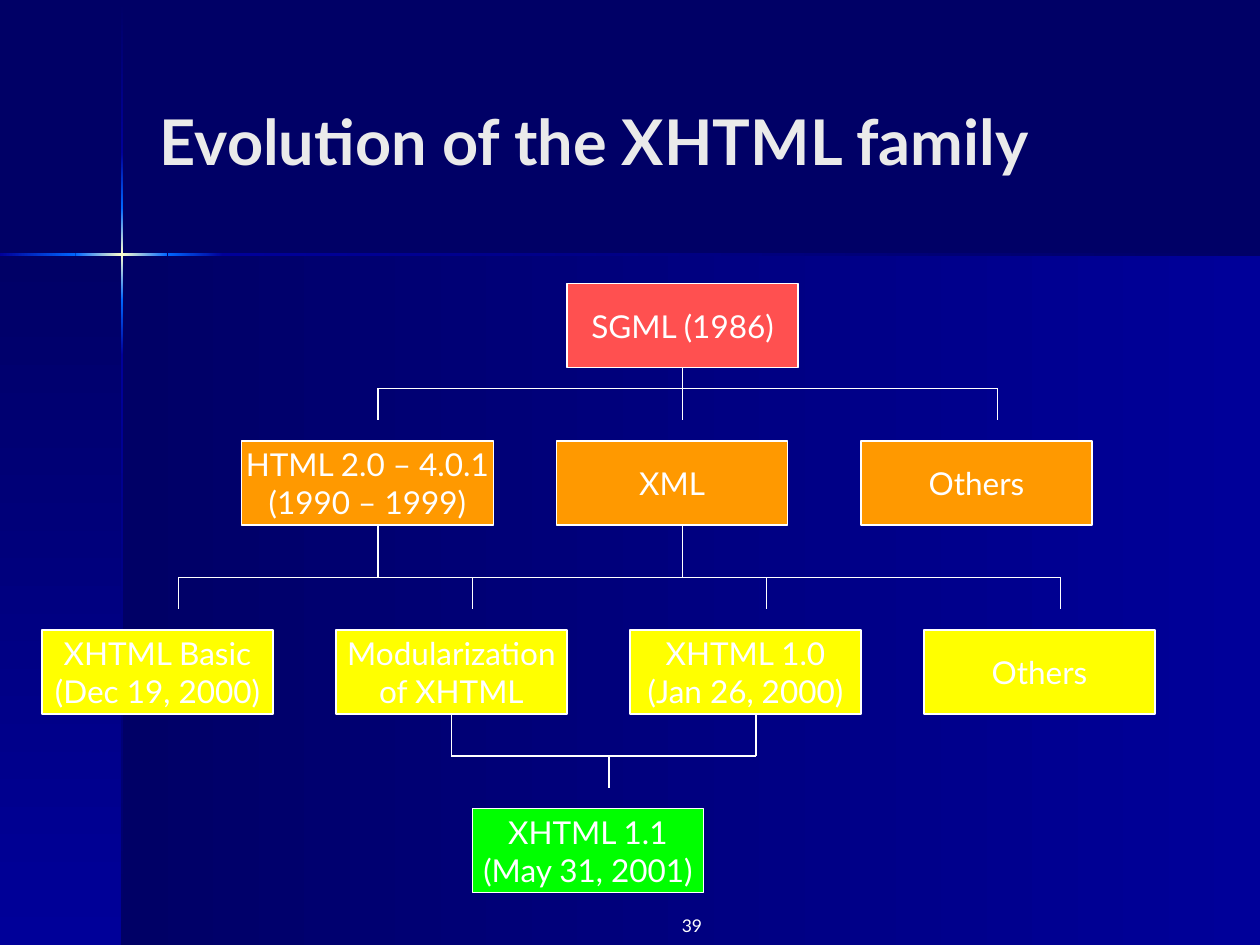
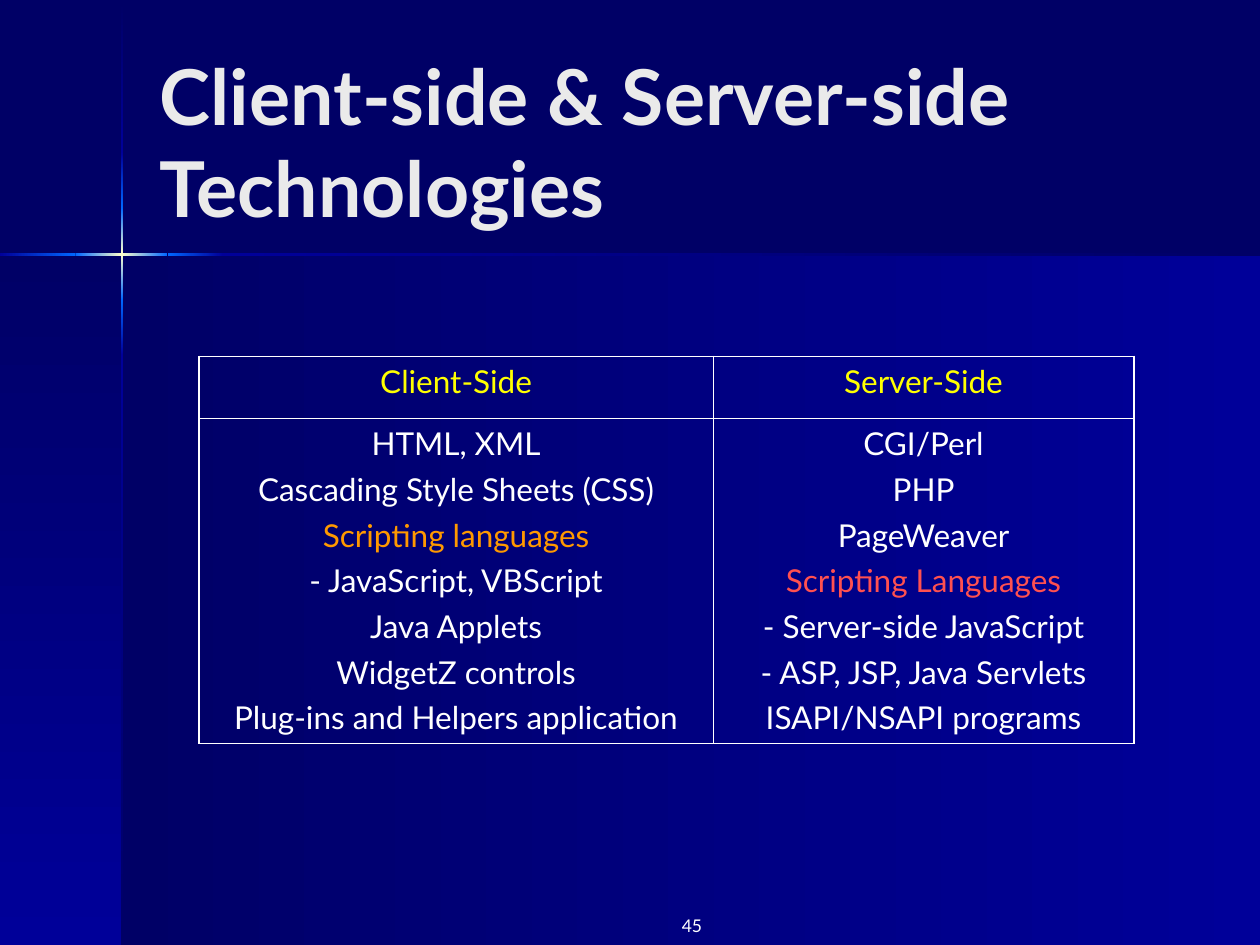
from lxml import etree
from pptx import Presentation, util as u
from pptx.dml.color import RGBColor
from pptx.enum import shapes, text
from pptx.oxml.ns import qn

FONT = "Lato"
COLOURS = {
    "navy": "000066", "blue": "000099", "bright": "0066FF", "glow": "FFFFCC",
    "title": "EAEAEA", "white": "FFFFFF", "red": "FF5050", "orange": "FF9900",
    "yellow": "FFFF00", "green": "00FF00",
}
WIDTH, HEIGHT = 10, 7.5
UNIT = WIDTH / 120
BOX_WIDTH, BOX_HEIGHT = 22, 8
STAR_X, STAR_Y, RAY = 0.96, 2.01, 0.02

CLIENT_SIDE = [
    "HTML, XML", "Cascading Style Sheets (CSS)", "Scripting languages",
    "- JavaScript, VBScript", "Java Applets", "WidgetZ controls",
    "Plug-ins and Helpers application",
]
SERVER_SIDE = [
    "CGI/Perl", "PHP", "PageWeaver", "Scripting Languages",
    "- Server-side JavaScript", "- ASP, JSP, Java Servlets",
    "ISAPI/NSAPI programs",
]


def rgb(name):
    return RGBColor.from_string(COLOURS[name])


def inches(*lengths):
    return [u.Inches(length) for length in lengths]


def grid(*units):
    return inches(*(unit * UNIT for unit in units))


def write(frame, lines, size, colour, align, bold=False, space=0, accents=None):
    for i, line in enumerate(lines):
        paragraph = frame.paragraphs[0] if i == 0 else frame.add_paragraph()
        paragraph.text = line
        paragraph.alignment = align
        paragraph.space_before = u.Pt(space)
        paragraph.font.name = FONT
        paragraph.font.size = u.Pt(size)
        paragraph.font.bold = bold
        paragraph.font.color.rgb = rgb((accents or {}).get(line, colour))


def add_label(slide, place, line, size, colour, align, **style):
    frame = slide.shapes.add_textbox(*inches(*place)).text_frame
    frame.word_wrap = True
    write(frame, [line], size, colour, align, **style)
    return frame


def add_gradient(slide, place, colours, vertical):
    band = slide.shapes.add_shape(shapes.MSO_SHAPE.RECTANGLE, *inches(*place))
    band.shadow.inherit = False
    band.line.fill.background()
    band.fill.gradient()
    band.fill.gradient_angle = 270 if vertical else 180
    stops = band._element.spPr.find(".//" + qn("a:gsLst"))
    for stop in list(stops):
        stops.remove(stop)
    ordered = colours if vertical else colours[::-1]
    for i, colour in enumerate(ordered):
        position = str(100000 * i // (len(ordered) - 1))
        stop = etree.SubElement(stops, qn("a:gs"), pos=position)
        etree.SubElement(stop, qn("a:srgbClr"), val=COLOURS[colour])


def add_rays(slide, edges, vertical):
    tones = [("navy", "blue"), ("blue", "bright"), ("bright", "glow", "bright"),
             ("bright", "blue"), ("blue", "navy")]
    for start, end, colours in zip(edges, edges[1:], tones[-len(edges) + 1:]):
        length = end - start
        place = (STAR_X, start, RAY, length) if vertical else (start, STAR_Y, length, RAY)
        add_gradient(slide, place, colours, vertical)


def add_base_slide(deck, title, title_size, number):
    slide = deck.slides.add_slide(deck.slide_layouts[6])
    slide.background.fill.solid()
    slide.background.fill.fore_color.rgb = rgb("navy")
    left, top = STAR_X + RAY / 2, STAR_Y + RAY / 2
    add_gradient(slide, (left, top, WIDTH - left, HEIGHT - top), ("navy", "blue"), False)
    add_gradient(slide, (0, top, left, HEIGHT - top), ("navy", "blue"), True)
    add_rays(slide, [0.01, 1.21, 1.65, 2.38, 2.82, HEIGHT], True)
    add_rays(slide, [0, 0.6, 1.33, 1.77, WIDTH], False)
    heading = add_label(slide, (1.17, 0.33, 8.25, 1.57), title, title_size, "title",
                        text.PP_ALIGN.LEFT, bold=True)
    heading.vertical_anchor = text.MSO_ANCHOR.MIDDLE
    add_label(slide, (5, 7.21, 0.67, 0.24), number, 10, "white", text.PP_ALIGN.RIGHT)
    return slide


def add_box(slide, left, top, colour, *lines, width=BOX_WIDTH):
    box = slide.shapes.add_shape(shapes.MSO_SHAPE.RECTANGLE,
                                 *grid(left, top, width, BOX_HEIGHT))
    box.shadow.inherit = False
    box.fill.solid()
    box.fill.fore_color.rgb = rgb(colour)
    box.line.color.rgb = rgb("white")
    box.line.width = u.Pt(0.75)
    box.text_frame.word_wrap = False
    box.text_frame.vertical_anchor = text.MSO_ANCHOR.MIDDLE
    write(box.text_frame, lines, 18, "white", text.PP_ALIGN.CENTER)
    return box


def add_wire(slide, x1, y1, x2, y2, parent=None):
    wire = slide.shapes.add_connector(shapes.MSO_CONNECTOR.STRAIGHT,
                                      *grid(x1, y1, x2, y2))
    wire.line.color.rgb = rgb("white")
    wire.line.width = u.Pt(0.75)
    etree.SubElement(wire._element.spPr, qn("a:effectLst"))
    if parent is not None:
        wire.begin_connect(parent, 2)


def add_branches(slide, stems, drops, top, rail, bottom):
    ends = list(stems) + drops
    add_wire(slide, min(ends), rail, max(ends), rail)
    for x, parent in stems.items():
        add_wire(slide, x, top, x, rail, parent)
    for x in drops:
        add_wire(slide, x, rail, x, bottom)


def add_family_tree(slide):
    sgml = add_box(slide, 54, 27, "red", "SGML (1986)")
    add_box(slide, 23, 42, "orange", "HTML 2.0 – 4.0.1", "(1990 – 1999)", width=24)
    add_box(slide, 53, 42, "orange", "XML")
    add_box(slide, 82, 42, "orange", "Others")
    xhtml = [("XHTML Basic", "(Dec 19, 2000)"), ("Modularization", "of XHTML"),
             ("XHTML 1.0", "(Jan 26, 2000)"), ("Others",)]
    members = [add_box(slide, 4 + 28 * i, 60, "yellow", *lines)
               for i, lines in enumerate(xhtml)]
    add_box(slide, 45, 77, "green", "XHTML 1.1", "(May 31, 2001)")
    add_branches(slide, {65: sgml}, [36, 65, 95], 35, 37, 40)
    add_branches(slide, {36: None, 65: None}, [17 + 28 * i for i in range(4)], 50, 55, 58)
    add_branches(slide, {43: members[1], 72: None}, [58], 68, 72, 75)


def set_borders(cell, outer_sides):
    properties = cell._tc.get_or_add_tcPr()
    for side in "LRTB":
        width = u.Pt(1.08 if side in outer_sides else 0.45)
        border = etree.SubElement(properties, qn("a:ln" + side), w=str(width))
        fill = etree.SubElement(border, qn("a:solidFill"))
        etree.SubElement(fill, qn("a:srgbClr"), val=COLOURS["white"])


def add_technologies(slide, columns, widths, heights, accents):
    table = slide.shapes.add_table(
        len(heights), len(widths),
        *inches(1.58, 2.83, sum(widths), sum(heights))).table
    table.first_row = table.horz_banding = False
    for row, height in zip(table.rows, heights):
        row.height = u.Inches(height)
    for c, (column, width) in enumerate(zip(columns, widths)):
        table.columns[c].width = u.Inches(width)
        for r, (lines, colour) in enumerate(zip(column, ("yellow", "white"))):
            cell = table.cell(r, c)
            set_borders(cell, "LR"[c] + "TB"[r])
            cell.fill.background()
            write(cell.text_frame, lines, 18, colour, text.PP_ALIGN.CENTER,
                  space=4.5, accents=accents)


def main():
    deck = Presentation()
    deck.slide_width, deck.slide_height = inches(WIDTH, HEIGHT)
    evolution = add_base_slide(deck, "Evolution of the XHTML family", 36, "39")
    add_family_tree(evolution)
    sides = add_base_slide(deck, "Client-side & Server-side\vTechnologies", 44, "45")
    add_technologies(
        sides,
        [(["Client-Side"], CLIENT_SIDE), (["Server-Side"], SERVER_SIDE)],
        (4.08, 3.34), (0.49, 2.58),
        {"Scripting languages": "orange", "Scripting Languages": "red"})
    deck.save("out.pptx")


if __name__ == "__main__":
    main()
